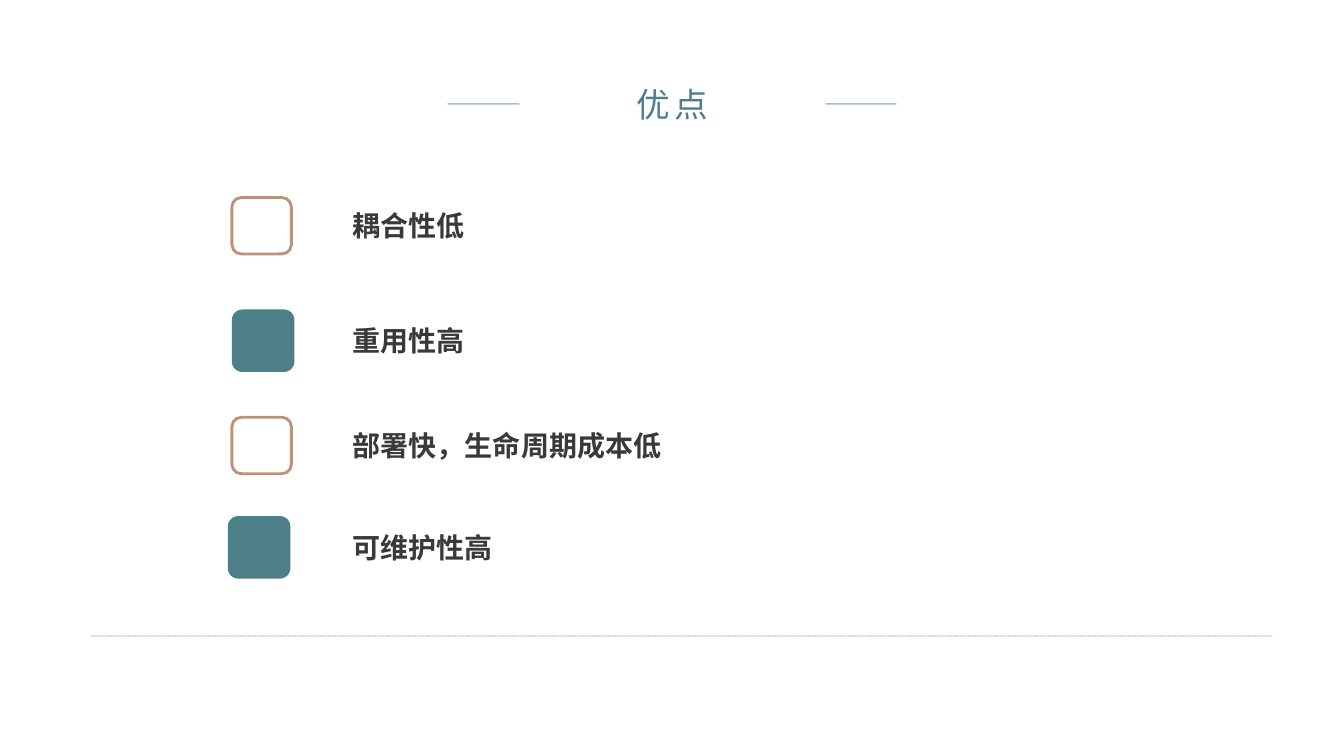
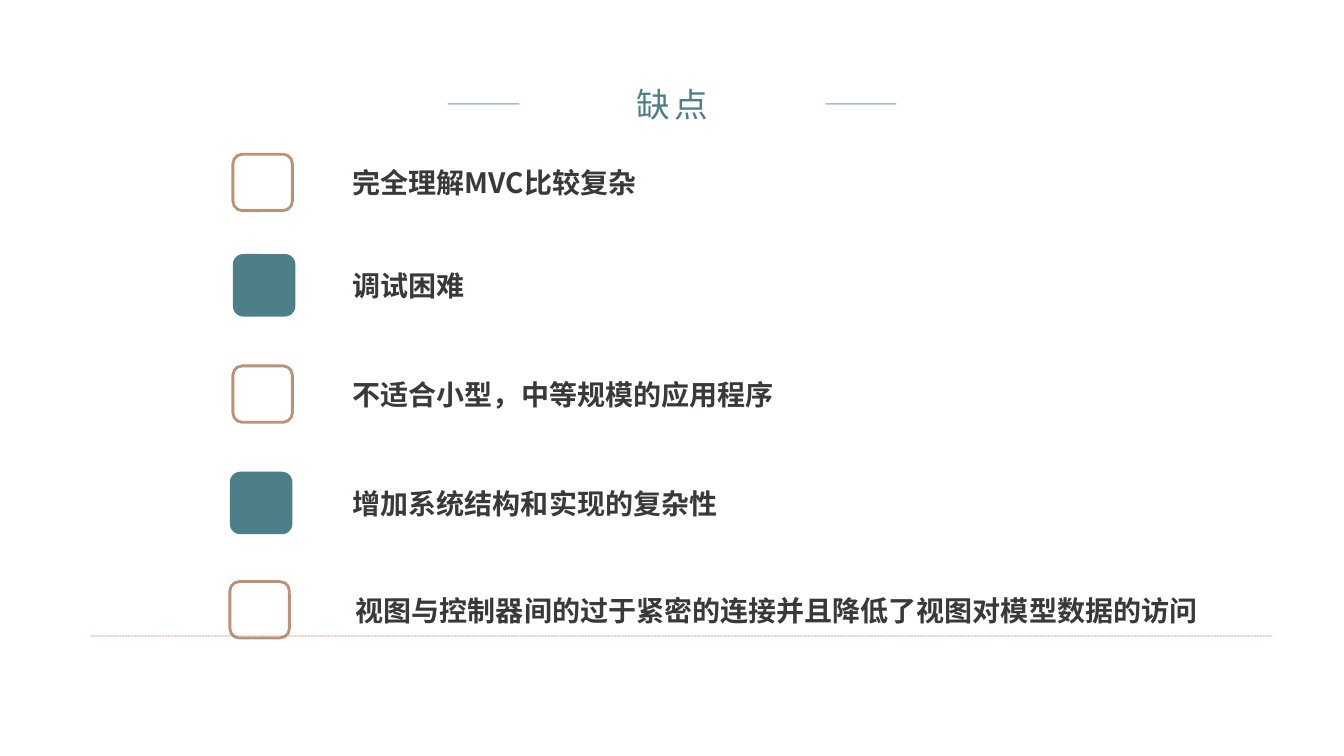
"""Build two slides listing the strengths and weaknesses of MVC."""
from lxml import etree
from pptx import Presentation
from pptx import util as u
from pptx.dml.color import RGBColor
from pptx.enum import dml, shapes, text
from pptx.oxml.ns import qn

PX = 9144
FONT = "Noto Sans CJK SC"
TEAL = RGBColor(0x4D, 0x7F, 0x89)
COPPER = RGBColor(0xA2, 0x63, 0x3C)
INK = RGBColor(0x3B, 0x38, 0x38)
WHITE = RGBColor(0xFF, 0xFF, 0xFF)

FILLED_SIDE = 62
OUTLINE_WIDTH, OUTLINE_HEIGHT = 59, 56
POINT_HEIGHT = 44

RULES = [
    (90, 1262, 631, COPPER, 0.5, 70, dml.MSO_LINE.SQUARE_DOT),
    (444, 515, 103, TEAL, 1, 50, dml.MSO_LINE.SOLID),
    (819, 889, 103, TEAL, 1, 50, dml.MSO_LINE.SOLID),
]

# heading, then per point: middle, marker left, text left, text width, wording
SLIDES = [
    ("优点", [
        (224, 230, 340, 214, "耦合性低"),
        (338, 230, 340, 214, "重用性高"),
        (442, 230, 340, 412, "部署快，生命周期成本低"),
        (543, 226, 340, 269, "可维护性高"),
    ]),
    ("缺点", [
        (181, 231, 340, 461, "完全理解MVC比较复杂"),
        (283, 231, 340, 214, "调试困难"),
        (391, 231, 340, 509, "不适合小型，中等规模的应用程序"),
        (499, 228, 340, 534, "增加系统结构和实现的复杂性"),
        (605, 228, 343, 891, "视图与控制器间的过于紧密的连接并且降低了视图对模型数据的访问"),
    ]),
]


def write(shape, wording, size, color, bold, align):
    frame = shape.text_frame
    frame.text = wording
    frame.word_wrap = True
    frame.auto_size = text.MSO_AUTO_SIZE.NONE
    frame.vertical_anchor = text.MSO_ANCHOR.MIDDLE
    paragraph = frame.paragraphs[0]
    paragraph.alignment = align
    font = paragraph.runs[0].font
    font.name, font.size, font.bold = FONT, u.Pt(size), bold
    font.color.rgb = color
    etree.SubElement(font._element, qn("a:ea")).set("typeface", FONT)
    return font


def stroke(line, color, width, opacity, dash=dml.MSO_LINE.SOLID):
    line.color.rgb = color
    line.width = u.Pt(width)
    line.dash_style = dash
    tint = line._ln.find(".//" + qn("a:srgbClr"))
    etree.SubElement(tint, qn("a:alpha")).set("val", str(opacity * 1000))


deck = Presentation()
deck.slide_width, deck.slide_height = 1333 * PX, 750 * PX

for heading, points in SLIDES:
    slide = deck.slides.add_slide(deck.slide_layouts[5])
    slide.background.fill.solid()
    slide.background.fill.fore_color.rgb = WHITE

    title = slide.shapes.title
    title.left, title.top = 519 * PX, 78 * PX
    title.width, title.height = 295 * PX, 50 * PX
    title_font = write(title, heading, 24, TEAL, False, text.PP_ALIGN.CENTER)
    title_font._element.set("spc", "300")

    for start, end, y, color, width, opacity, dash in RULES:
        rule = slide.shapes.add_connector(
            shapes.MSO_CONNECTOR.STRAIGHT, start * PX, y * PX, end * PX, y * PX)
        stroke(rule.line, color, width, opacity, dash)
        etree.SubElement(rule._element.spPr, qn("a:effectLst"))

    for index, (middle, marker_left, left, width, wording) in enumerate(points):
        filled = index % 2 == 1
        marker_width = FILLED_SIDE if filled else OUTLINE_WIDTH
        marker_height = FILLED_SIDE if filled else OUTLINE_HEIGHT
        marker = slide.shapes.add_shape(
            shapes.MSO_SHAPE.ROUNDED_RECTANGLE, marker_left * PX,
            (middle - marker_height // 2) * PX, marker_width * PX, marker_height * PX)
        marker.shadow.inherit = False
        if filled:
            marker.fill.solid()
            marker.fill.fore_color.rgb = TEAL
            marker.line.fill.background()
        else:
            marker.fill.background()
            stroke(marker.line, COPPER, 2, 70)

        point = slide.shapes.add_textbox(
            left * PX, (middle - POINT_HEIGHT // 2) * PX, width * PX, POINT_HEIGHT * PX)
        write(point, wording, 20, INK, True, text.PP_ALIGN.LEFT)

deck.save("out.pptx")
